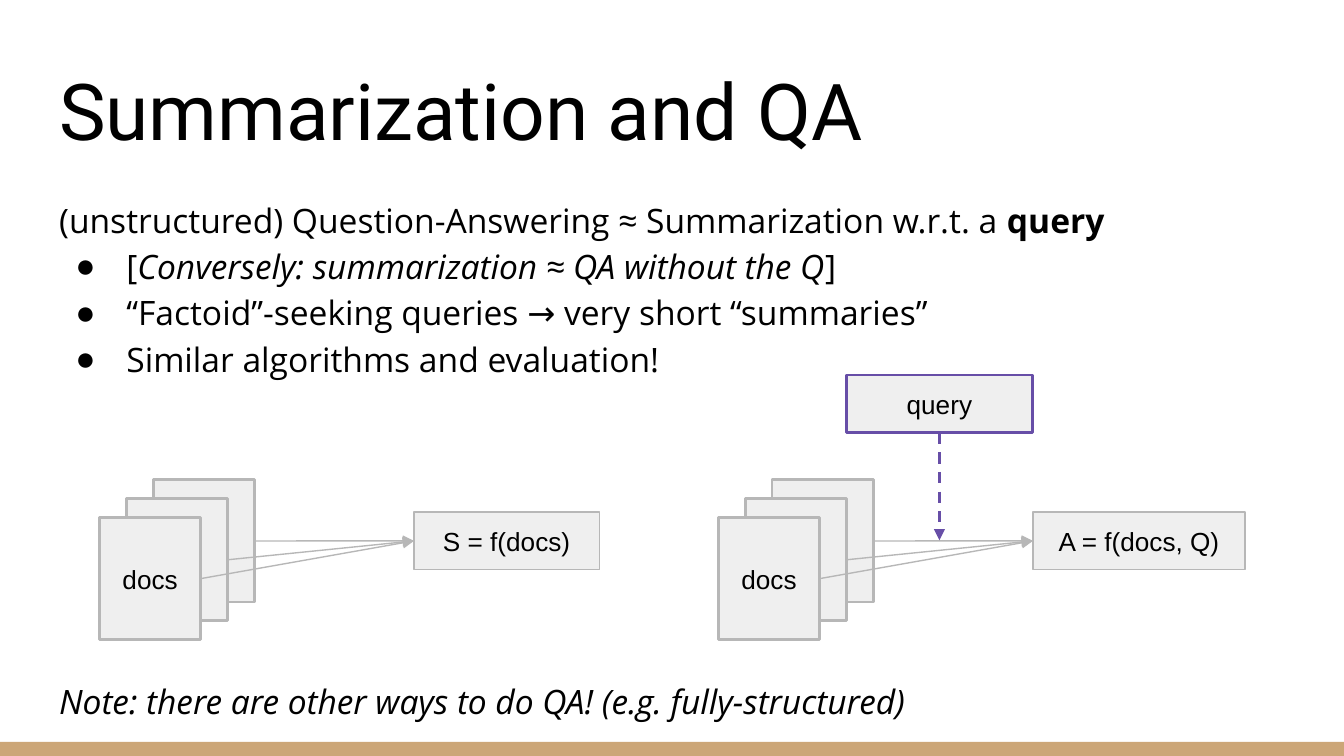
from dataclasses import dataclass

from lxml import etree
from pptx import Presentation
from pptx import util as u
from pptx.dml import color
from pptx.enum import dml, shapes, text
from pptx.oxml import ns


@dataclass(frozen=True)
class Theme:
    ink: str = "000000"
    box: str = "EFEFEF"
    outline: str = "B7B7B7"
    accent: str = "674EA7"
    bar: str = "CCA677"
    title_font: str = "Roboto"
    body_font: str = "Open Sans"
    label_font: str = "Arial"
    title_size: float = 42
    body_size: float = 18
    label_size: float = 14
    thin: float = 0.75
    thick: float = 1.5


THEME = Theme()
WIDTH, HEIGHT = u.Inches(10), u.Inches(5.625)

TITLE = "Summarization and QA"
BODY = [
    (False, [("(unstructured) Question-Answering ≈ Summarization w.r.t. a ", ""), ("query", "bold")]),
    (True, [("[", ""), ("Conversely: summarization ≈ QA without the Q", "italic"), ("]", "")]),
    (True, [("“Factoid”-seeking queries → very short “summaries”", "")]),
    (True, [("Similar algorithms and evaluation!", "")]),
]
NOTE = [(False, [("Note: there are other ways to do QA! (e.g. fully-structured)", "italic")])]

# All places are percentages of the slide: left, top, width, height.
TITLE_AREA = (3.4, 6.22, 93.2, 16.18)
BODY_AREA = (3.4, 23.82, 93.2, 22.93)
NOTE_AREA = (3.4, 87.47, 93.2, 20.44)
BAR_AREA = (0, 98.13, 100, 1.87)
QUERY_AREA = (63, 49.6, 13.8, 7.64)
QUERY_ARROW_END = 71.47

DIAGRAMS = [
    {"left": 7.4, "result": "S = f(docs)", "result_width": 13.8},
    {"left": 53.45, "result": "A = f(docs, Q)", "result_width": 15.8},
]
PAGE_LABELS = ["", "", "docs"]
PAGE_TOP, PAGE_WIDTH, PAGE_HEIGHT = 63.47, 7.55, 16.18
PAGE_STEP_X, PAGE_STEP_Y = 2, 2.49
RESULT_OFFSET, RESULT_TOP, RESULT_HEIGHT = 23.4, 67.73, 7.64
TOP_SITE, LEFT_SITE, BOTTOM_SITE, RIGHT_SITE = range(4)


def across(share):
    return round(WIDTH * share / 100)


def down(share):
    return round(HEIGHT * share / 100)


def place(area):
    left, top, width, height = area
    return across(left), down(top), across(width), down(height)


def rgb(value):
    return color.RGBColor.from_string(value)


def set_font(font, name, size):
    font.name, font.size = name, u.Pt(size)
    font.color.rgb = rgb(THEME.ink)


def set_frame(frame, anchor):
    frame.word_wrap = True
    frame.auto_size = text.MSO_AUTO_SIZE.NONE
    frame.vertical_anchor = anchor
    frame.margin_left = frame.margin_right = u.Inches(0.1)
    frame.margin_top = frame.margin_bottom = u.Inches(0.1)


def set_bullet(paragraph, bulleted):
    properties = paragraph._p.get_or_add_pPr()
    properties.set("marL", str(u.Inches(0.5) if bulleted else 0))
    properties.set("indent", str(u.Inches(-0.38) if bulleted else 0))
    if bulleted:
        bullet_color = etree.SubElement(properties, ns.qn("a:buClr"))
        etree.SubElement(bullet_color, ns.qn("a:srgbClr"), val=THEME.ink)
        etree.SubElement(properties, ns.qn("a:buChar"), char="●")
    else:
        etree.SubElement(properties, ns.qn("a:buNone"))


def move(shape, area):
    shape.left, shape.top, shape.width, shape.height = place(area)


def fill_title(shape):
    move(shape, TITLE_AREA)
    set_frame(shape.text_frame, text.MSO_ANCHOR.BOTTOM)
    paragraph = shape.text_frame.paragraphs[0]
    paragraph.text = TITLE
    paragraph.alignment = text.PP_ALIGN.LEFT
    set_font(paragraph.font, THEME.title_font, THEME.title_size)


def fill_body(shape, area, content):
    move(shape, area)
    frame = shape.text_frame
    set_frame(frame, text.MSO_ANCHOR.TOP)
    for index, (bulleted, runs) in enumerate(content):
        paragraph = frame.add_paragraph() if index else frame.paragraphs[0]
        set_bullet(paragraph, bulleted)
        paragraph.line_spacing = 1.15
        paragraph.space_before = u.Pt(0)
        set_font(paragraph.font, THEME.body_font, THEME.body_size)
        for words, style in runs:
            run = paragraph.add_run()
            run.text = words
            if style:
                setattr(run.font, style, True)


def add_box(slide, area, label="", fill=THEME.box, line=THEME.outline, weight=THEME.thin):
    shape = slide.shapes.add_shape(shapes.MSO_SHAPE.RECTANGLE, *place(area))
    shape.shadow.inherit = False
    shape.fill.solid()
    shape.fill.fore_color.rgb = rgb(fill)
    if line:
        shape.line.color.rgb = rgb(line)
        shape.line.width = u.Pt(weight)
    else:
        shape.line.fill.background()
    if label:
        set_frame(shape.text_frame, text.MSO_ANCHOR.MIDDLE)
        paragraph = shape.text_frame.paragraphs[0]
        paragraph.text = label
        paragraph.alignment = text.PP_ALIGN.CENTER
        set_font(paragraph.font, THEME.label_font, THEME.label_size)
    return shape


def add_arrow(slide, source, site, end, line=THEME.outline, weight=THEME.thin):
    arrow = slide.shapes.add_connector(shapes.MSO_CONNECTOR.STRAIGHT, 0, 0, *end)
    arrow.begin_connect(source, site)
    arrow.line.color.rgb = rgb(line)
    arrow.line.width = u.Pt(weight)
    etree.SubElement(arrow.line._get_or_add_ln(), ns.qn("a:tailEnd"), type="triangle")
    etree.SubElement(arrow._element.spPr, ns.qn("a:effectLst"))
    return arrow


def add_diagram(slide, left, result, result_width):
    result_area = (left + RESULT_OFFSET, RESULT_TOP, result_width, RESULT_HEIGHT)
    result_box = add_box(slide, result_area, result)
    pages = []
    for index, label in enumerate(PAGE_LABELS):
        page_left = left + (len(PAGE_LABELS) - 1 - index) * PAGE_STEP_X
        page_top = PAGE_TOP + index * PAGE_STEP_Y
        area = (page_left, page_top, PAGE_WIDTH, PAGE_HEIGHT)
        pages.append(add_box(slide, area, label, weight=THEME.thick))
    target = result_box.left, result_box.top + result_box.height // 2
    for page in pages:
        add_arrow(slide, page, RIGHT_SITE, target).end_connect(result_box, LEFT_SITE)


def add_query(slide):
    query = add_box(slide, QUERY_AREA, "query", line=THEME.accent, weight=THEME.thick)
    end = query.left + query.width // 2, down(QUERY_ARROW_END)
    arrow = add_arrow(slide, query, BOTTOM_SITE, end, THEME.accent, THEME.thick)
    arrow.line.dash_style = dml.MSO_LINE.DASH


def main():
    presentation = Presentation()
    presentation.slide_width, presentation.slide_height = WIDTH, HEIGHT
    slide = presentation.slides.add_slide(presentation.slide_layouts.get_by_name("Two Content"))
    title, body, note = slide.placeholders
    add_box(slide, BAR_AREA, fill=THEME.bar, line=None)
    fill_title(title)
    fill_body(body, BODY_AREA, BODY)
    for diagram in DIAGRAMS:
        add_diagram(slide, **diagram)
    add_query(slide)
    fill_body(note, NOTE_AREA, NOTE)
    presentation.save("out.pptx")


if __name__ == "__main__":
    main()
